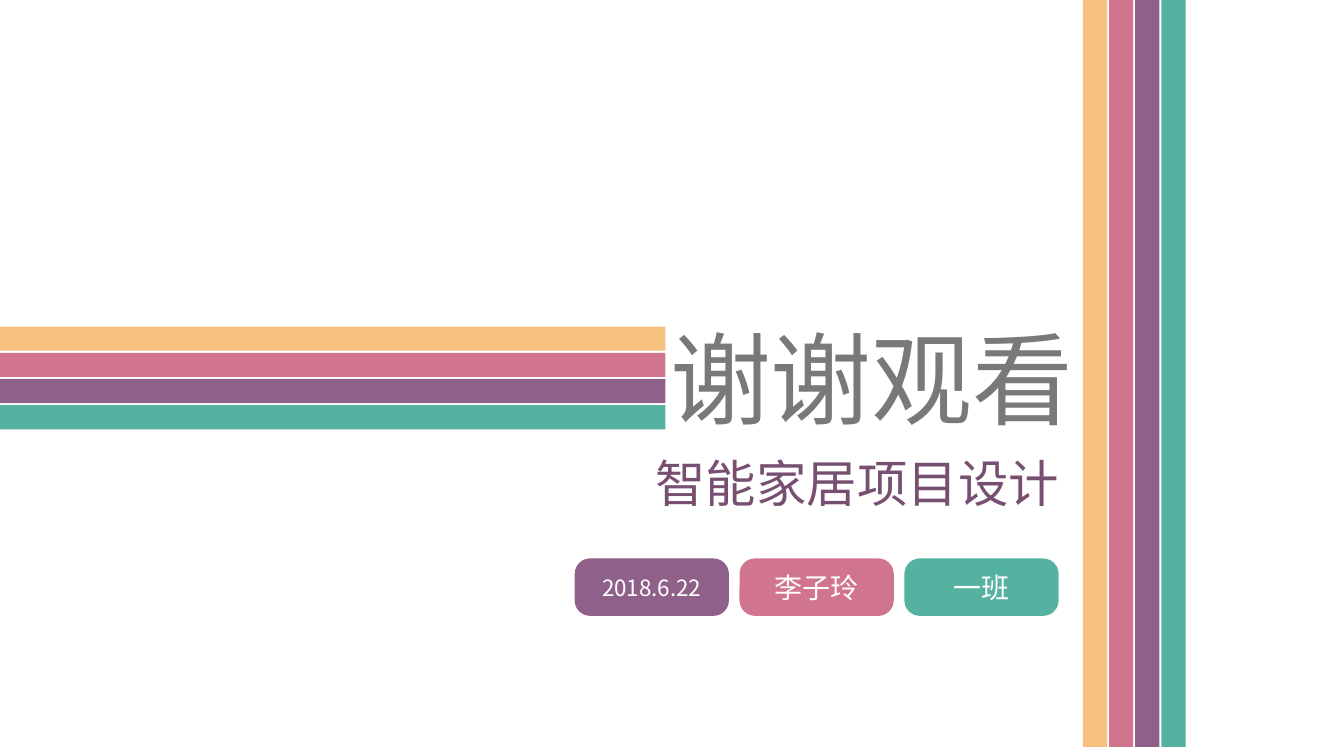
from pptx import Presentation
from pptx.dml.color import RGBColor
from pptx.enum.shapes import MSO_SHAPE
from pptx.enum.text import MSO_ANCHOR, PP_ALIGN
from pptx.oxml.ns import qn
from pptx.util import Inches, Pt
from lxml import etree

FONT = "Noto Sans CJK SC"
COLORS = {
    "orange": "F7C17F",
    "pink": "D1758E",
    "purple": "8F608A",
    "green": "55B2A0",
    "title": "797979",
    "subtitle": "774F71",
    "white": "FFFFFF",
}
STRIPES = ["orange", "pink", "purple", "green"]
STRIPE_WIDTH = 0.24
STRIPE_STEP = 0.26


def add_block(kind, left, top, width, height, color):
    shape = slide.shapes.add_shape(
        kind, Inches(left), Inches(top), Inches(width), Inches(height))
    shape.shadow.inherit = False
    shape.fill.solid()
    shape.fill.fore_color.rgb = RGBColor.from_string(COLORS[color])
    shape.line.fill.background()
    return shape


def write_text(shape, text, size, color, alignment):
    shape.text_frame.word_wrap = True
    paragraph = shape.text_frame.paragraphs[0]
    paragraph.alignment = alignment
    run = paragraph.add_run()
    run.text = text
    run.font.size = Pt(size)
    run.font.name = FONT
    run.font.color.rgb = RGBColor.from_string(COLORS[color])
    east_asian = etree.SubElement(run.font._element, qn("a:ea"))
    east_asian.set("typeface", FONT)


presentation = Presentation()
presentation.slide_width = Inches(13.33)
presentation.slide_height = Inches(7.5)
slide = presentation.slides.add_slide(presentation.slide_layouts[6])

for index, color in enumerate(STRIPES):
    offset = index * STRIPE_STEP
    add_block(MSO_SHAPE.RECTANGLE, 0, 3.24 + offset, 6.6, STRIPE_WIDTH, color)
    add_block(MSO_SHAPE.RECTANGLE, 10.74 + offset, 0, STRIPE_WIDTH, 7.41, color)

headings = [
    ("谢谢观看", 6.35, 3.09, 4.59, 1.31, 72, "title", PP_ALIGN.CENTER),
    ("智能家居项目设计", 4.64, 4.44, 5.96, 0.71, 36, "subtitle", PP_ALIGN.RIGHT),
]
for text, left, top, width, height, size, color, alignment in headings:
    heading = slide.shapes.add_textbox(
        Inches(left), Inches(top), Inches(width), Inches(height))
    write_text(heading, text, size, color, alignment)

labels = [("2018.6.22", 16, "purple"), ("李子玲", 20, "pink"), ("一班", 20, "green")]
for index, (text, size, color) in enumerate(labels):
    label = add_block(
        MSO_SHAPE.ROUNDED_RECTANGLE, 5.7 + index * 1.635, 5.54, 1.53, 0.57, color)
    label.adjustments[0] = 0.27
    label.text_frame.vertical_anchor = MSO_ANCHOR.MIDDLE
    write_text(label, text, size, "white", PP_ALIGN.CENTER)

presentation.save("out.pptx")
